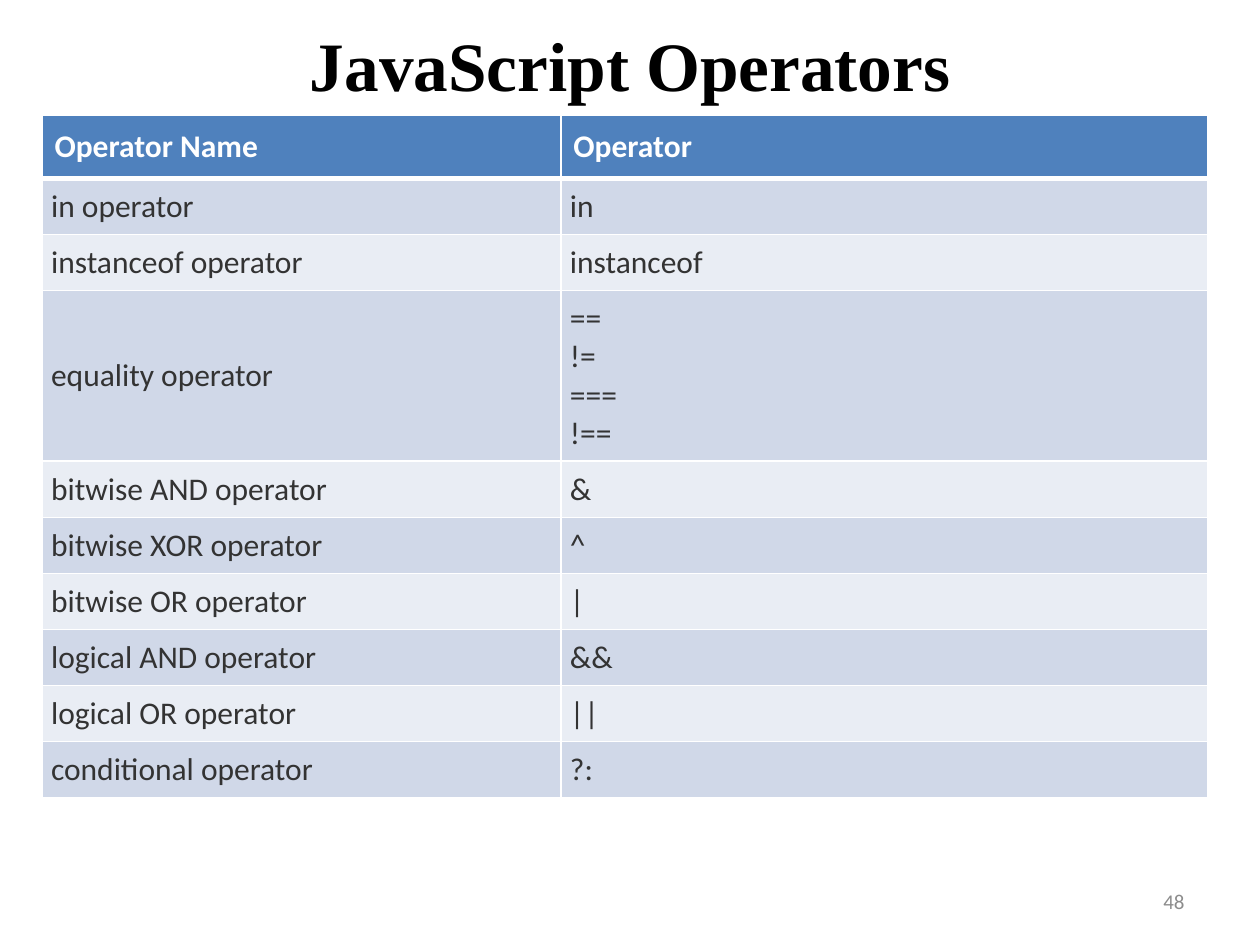
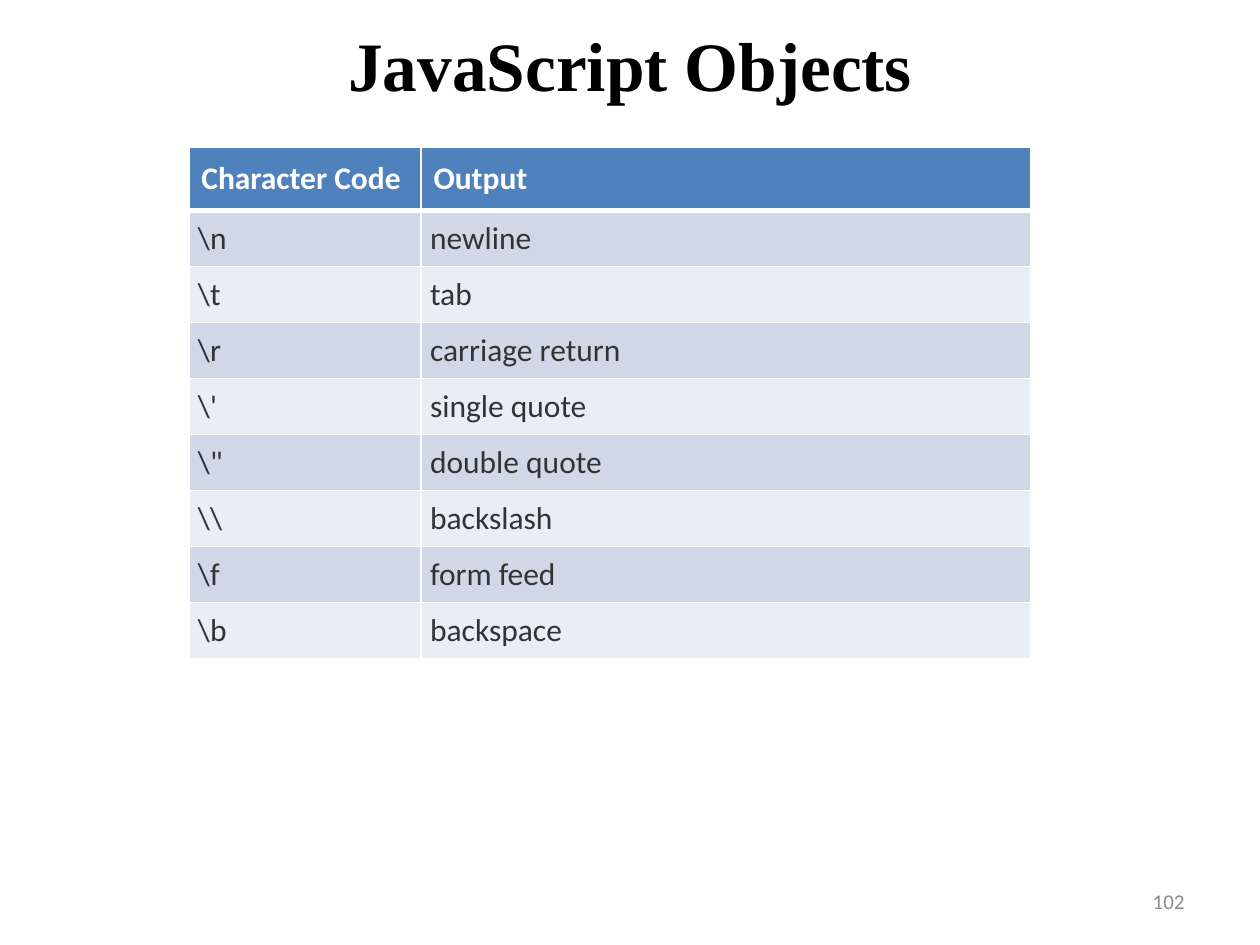
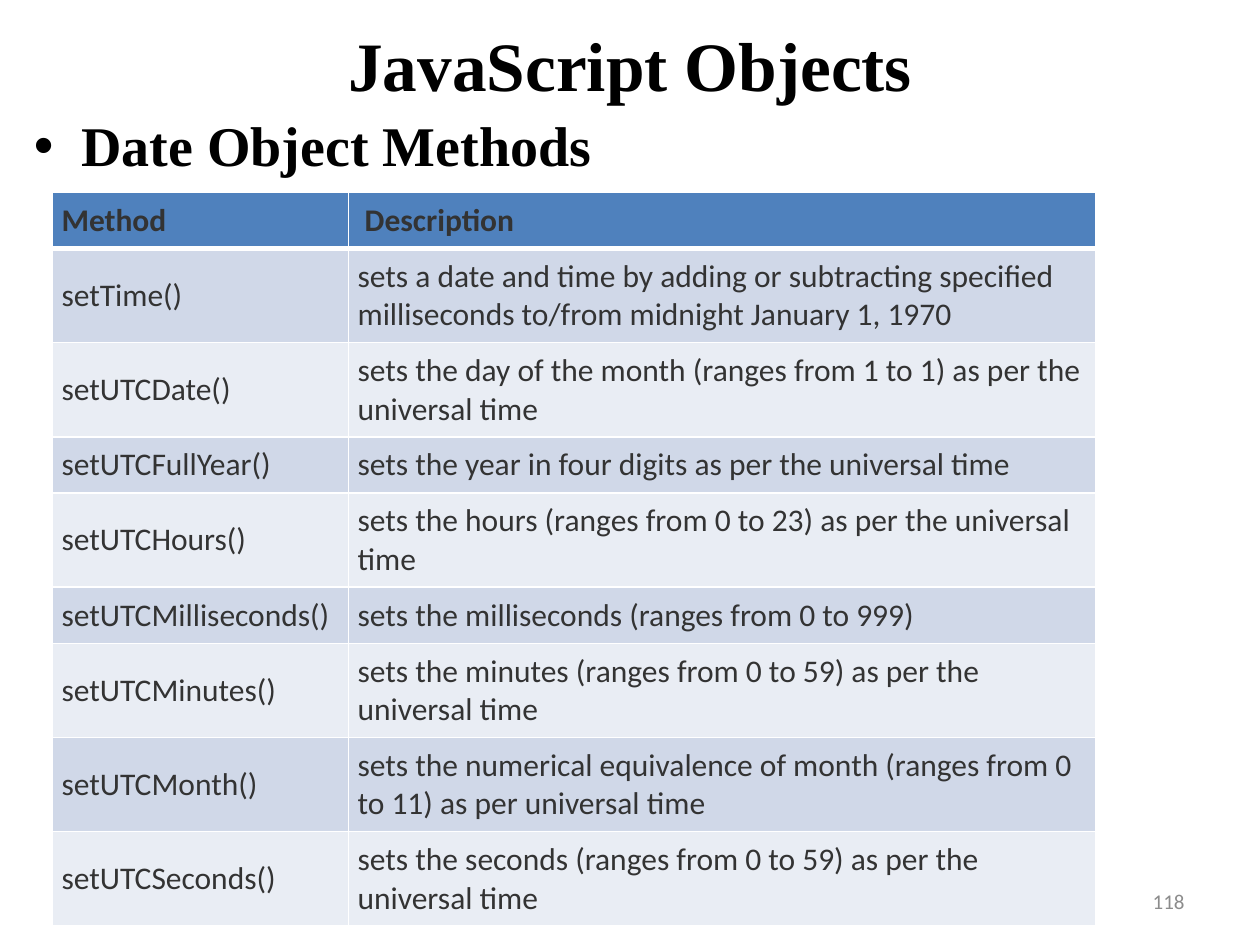
import math

import pptx
import pptx.dml.color
import pptx.enum.text
import pptx.oxml
import pptx.oxml.ns
import pptx.util

Cm = pptx.util.Cm
Pt = pptx.util.Pt
PP_ALIGN = pptx.enum.text.PP_ALIGN
ANCHOR = pptx.enum.text.MSO_ANCHOR

COLORS = {
    "title": "000000",
    "header": "4F81BD",
    "header_text": "FFFFFF",
    "odd_row": "D0D8E8",
    "even_row": "E9EDF4",
    "text": "333333",
    "border": "FFFFFF",
    "number": "8C8C8C",
}
HEADING_FONT = "Times New Roman"
TEXT_FONT = "Calibri"
TITLE_BOX = (0.64, 0.43, 24.13, 1.7)
BODY_BOX = (0.43, 2.11, 24.56, 16.31)
NUMBER_BOX = (18.21, 17.65, 5.92, 1.02)
LINE_HEIGHT = 0.77
CELL_INSET = 0.18
HEADER_INSET = 0.25
CHARS_PER_LINE = 60

OPERATORS = [
    ("Operator Name", "Operator"),
    ("in operator", "in"),
    ("instanceof operator", "instanceof"),
    ("equality operator", "==\v!=\v===\v!=="),
    ("bitwise AND operator", "&"),
    ("bitwise XOR operator", "^"),
    ("bitwise OR operator", "|"),
    ("logical AND operator", "&&"),
    ("logical OR operator", "||"),
    ("conditional operator", "?:"),
]
CHARACTER_CODES = [
    ("Character Code", "Output"),
    (r"\n", "newline"),
    (r"\t", "tab"),
    (r"\r", "carriage return"),
    (r"\'", "single quote"),
    (r"\"", "double quote"),
    (r"\\", "backslash"),
    (r"\f", "form feed"),
    (r"\b", "backspace"),
]
DATE_METHODS = [
    ("Method", " Description"),
    ("setTime()", "sets a date and time by adding or subtracting specified "
                  "milliseconds to/from midnight January 1, 1970"),
    ("setUTCDate()", "sets the day of the month (ranges from 1 to 1) as per the universal time"),
    ("setUTCFullYear()", "sets the year in four digits as per the universal time"),
    ("setUTCHours()", "sets the hours (ranges from 0 to 23) as per the universal time"),
    ("setUTCMilliseconds()", "sets the milliseconds (ranges from 0 to 999)"),
    ("setUTCMinutes()", "sets the minutes (ranges from 0 to 59) as per the universal time"),
    ("setUTCMonth()", "sets the numerical equivalence of month (ranges from 0 to 11) "
                      "as per universal time"),
    ("setUTCSeconds()", "sets the seconds (ranges from 0 to 59) as per the universal time"),
]


def rgb(name):
    return pptx.dml.color.RGBColor.from_string(COLORS[name])


def format_text(tf, font, size, color, bold=False, align=None):
    for p in tf.paragraphs:
        p.alignment = align
        for r in p.runs:
            r.font.name = font
            r.font.size = Pt(size)
            r.font.bold = bold
            r.font.color.rgb = rgb(color)


def place(shape, box):
    shape.left, shape.top, shape.width, shape.height = map(Cm, box)


def fill_placeholder(sp, box, text, size, align):
    place(sp, box)
    tf = sp.text_frame
    tf.text = text
    tf.auto_size = pptx.enum.text.MSO_AUTO_SIZE.NONE
    tf.paragraphs[0].space_before = Pt(0)
    format_text(tf, HEADING_FONT, size, "title", True, align)


def add_number(s, box, number):
    tf = s.shapes.add_textbox(*map(Cm, box)).text_frame
    tf.word_wrap = True
    tf.vertical_anchor = ANCHOR.MIDDLE
    tf.text = str(number)
    format_text(tf, TEXT_FONT, 12, "number", align=PP_ALIGN.RIGHT)


def add_borders(cell, row):
    tc_pr = cell._tc.get_or_add_tcPr()
    widths = {"L": 1, "R": 1, "T": 3 if row == 1 else 1, "B": 3 if row == 0 else 1}
    for side, width in widths.items():
        tc_pr.append(pptx.oxml.parse_xml(
            f'<a:ln{side} {pptx.oxml.ns.nsdecls("a")} w="{Pt(width)}"><a:solidFill>'
            f'<a:srgbClr val="{COLORS["border"]}"/></a:solidFill></a:ln{side}>'))


def format_cell(cell, row, text, inset, color):
    add_borders(cell, row)
    cell.fill.solid()
    cell.fill.fore_color.rgb = rgb(
        "header" if row == 0 else "odd_row" if row % 2 else "even_row")
    cell.margin_left = cell.margin_right = Cm(inset)
    cell.margin_top = cell.margin_bottom = Cm(inset)
    cell.vertical_anchor = ANCHOR.MIDDLE
    cell.text_frame.text = text
    format_text(cell.text_frame, TEXT_FONT, 18, color, row == 0)


def count_lines(text):
    return sum(math.ceil(len(line) / CHARS_PER_LINE) for line in text.split("\v"))


def add_grid(s, left, top, widths, rows, header_inset, header_color):
    insets = [header_inset] + [CELL_INSET] * (len(rows) - 1)
    heights = [LINE_HEIGHT * max(map(count_lines, texts)) + 2 * inset
               for texts, inset in zip(rows, insets)]
    box = (left, top, sum(widths), sum(heights))
    table = s.shapes.add_table(len(rows), len(widths), *map(Cm, box)).table
    for column, width in zip(table.columns, widths):
        column.width = Cm(width)
    for i, texts in enumerate(rows):
        table.rows[i].height = Cm(heights[i])
        color = header_color if i == 0 else "text"
        for j, text in enumerate(texts):
            format_cell(table.cell(i, j), i, text, insets[i], color)


def add_table_slide(prs, title, number, left, top, widths, rows, bullet=None,
                    header_inset=HEADER_INSET, header_color="header_text"):
    s = prs.slides.add_slide(prs.slide_layouts[1 if bullet else 5])
    fill_placeholder(s.shapes.title, TITLE_BOX, title, 39.6, PP_ALIGN.CENTER)
    if bullet:
        fill_placeholder(s.placeholders[1], BODY_BOX, bullet, 32, PP_ALIGN.JUSTIFY)
    add_number(s, NUMBER_BOX, number)
    add_grid(s, left, top, widths, rows, header_inset, header_color)


def main():
    prs = pptx.Presentation()
    prs.slide_width, prs.slide_height = Cm(25.4), Cm(19.05)
    add_table_slide(prs, "JavaScript Operators", 48, 0.85, 2.33, (10.46, 13.03), OPERATORS)
    add_table_slide(prs, "JavaScript Objects", 102, 3.81, 2.97, (4.68, 12.28), CHARACTER_CODES)
    add_table_slide(prs, "JavaScript Objects", 118, 1.06, 3.88, (5.97, 15.06), DATE_METHODS,
                    bullet="Date Object Methods", header_inset=CELL_INSET, header_color="text")
    prs.save("out.pptx")


if __name__ == "__main__":
    main()
